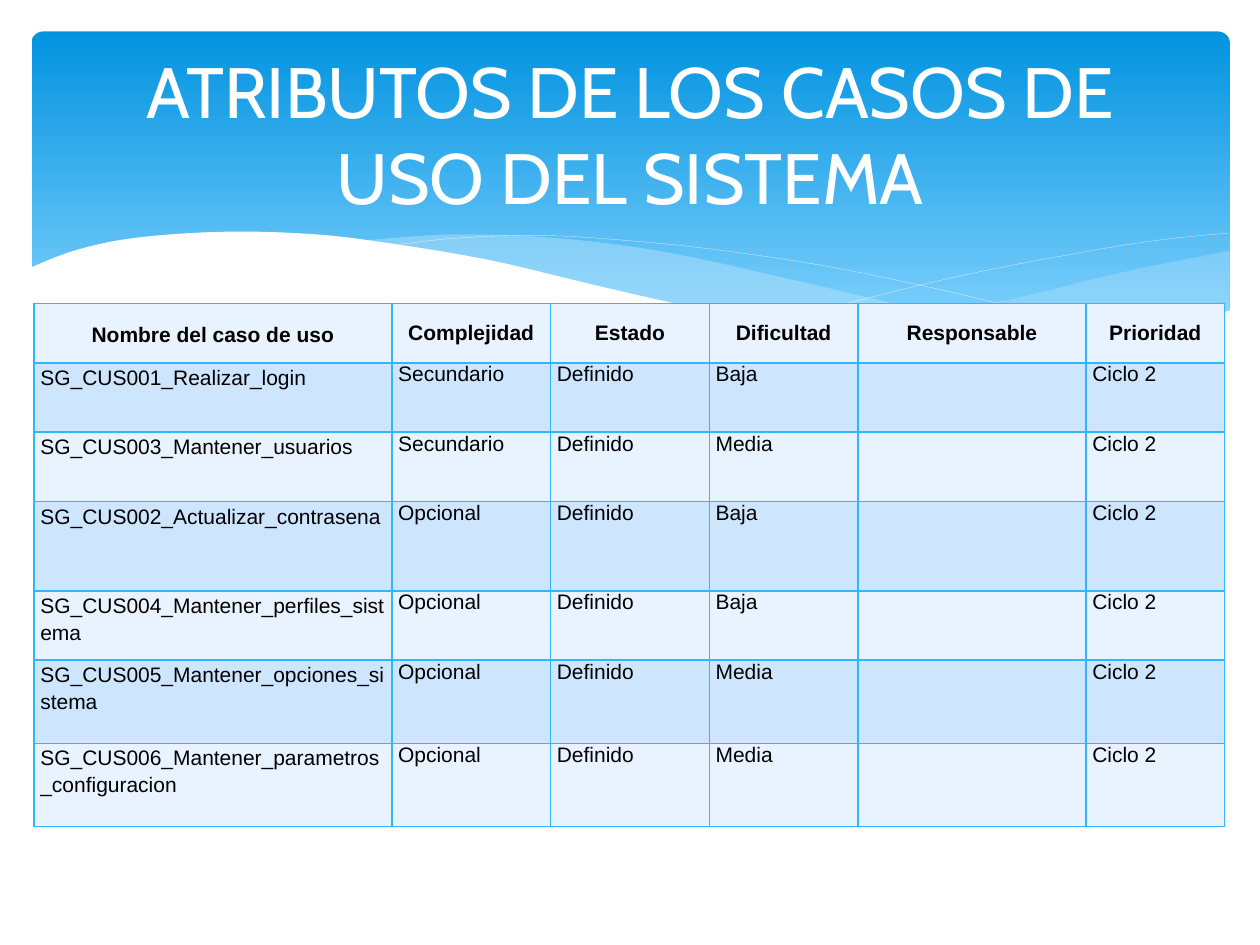
from lxml.etree import SubElement
from pptx import Presentation
from pptx.dml.color import RGBColor
from pptx.enum.shapes import MSO_SHAPE
from pptx.enum.text import MSO_ANCHOR, MSO_AUTO_SIZE, PP_ALIGN
from pptx.oxml.ns import qn
from pptx.util import Inches, Pt

COLORS = {
    "white": "FFFFFF", "black": "000000", "top": "0293E0", "bottom": "83D3FE",
    "wave": "C6E7FC", "border": "31B6FD", "light": "E8F3FF", "dark": "CEE5FE",
}
RIGHT_TOP = [(6.61, 2.65), (7.29, 2.53), (8.05, 2.37), (8.91, 2.16), (9.76, 1.99)]
RIGHT_BOTTOM = [(9.76, 2.47), (9.35, 2.61), (8.81, 2.73), (8.14, 2.78), (7.45, 2.75),
                (6.61, 2.65)]
MIDDLE_TOP = [(2.86, 1.91), (3.61, 1.86), (4.42, 1.89), (5.28, 2), (6.29, 2.22),
              (7.06, 2.4), (7.75, 2.54), (8.37, 2.65), (8.93, 2.73)]
MIDDLE_BOTTOM = [(8.93, 2.73), (8.38, 2.78), (7.73, 2.77), (6.95, 2.7), (6.01, 2.55),
                 (5.3, 2.4), (4.49, 2.22), (3.62, 2.03), (2.86, 1.91)]
WHITE_TOP = [(0.23, 2.13), (0.59, 1.99), (1.06, 1.89), (1.77, 1.84), (2.5, 1.86),
             (3.15, 1.94), (3.91, 2.07), (4.75, 2.27), (5.55, 2.45), (6.47, 2.62),
             (7.26, 2.72), (8.09, 2.77), (8.75, 2.73), (9.3, 2.62), (9.77, 2.46)]
WHITE_BOTTOM = [(9.77, 3.29), (0.23, 3.29)]
FALLING_LINE = [(3.09, 1.95), (3.63, 1.89), (4.33, 1.87), (5.1, 1.92), (5.82, 2),
                (6.65, 2.13), (7.6, 2.33), (8.31, 2.51), (9.07, 2.72)]
RISING_LINE = [(6.13, 2.57), (6.95, 2.35), (7.76, 2.16), (8.66, 1.99), (9.24, 1.9),
               (9.75, 1.85)]

HEADERS = ["Nombre del caso de uso", "Complejidad", "Estado", "Dificultad",
           "Responsable", "Prioridad"]
USE_CASES = [
    ("SG_CUS001_Realizar_login", "Secundario", "Baja"),
    ("SG_CUS003_Mantener_usuarios", "Secundario", "Media"),
    ("SG_CUS002_Actualizar_contrasena", "Opcional", "Baja"),
    ("SG_CUS004_Mantener_perfiles_sistema", "Opcional", "Baja"),
    ("SG_CUS005_Mantener_opciones_sistema", "Opcional", "Media"),
    ("SG_CUS006_Mantener_parametros_configuracion", "Opcional", "Media"),
]
COL_WIDTHS = [2.84, 1.26, 1.26, 1.18, 1.81, 1.1]
ROW_HEIGHTS = [0.47, 0.55, 0.55, 0.71, 0.55, 0.66, 0.66]


def rgb(name):
    return RGBColor.from_string(COLORS[name])


def spline(a, b, c, d, t):
    return b + t * (c - a + t * (2*a - 5*b + 4*c - d + t * (3*b - a - 3*c + d))) / 2


def smooth(knots, steps=8):
    padded = [knots[0], *knots, knots[-1]]
    points = [tuple(spline(*axis, step / steps) for axis in zip(*padded[i:i + 4]))
              for i in range(len(knots) - 1) for step in range(steps)]
    return points + [knots[-1]]


def write(tf, text, size=12, font="Arial", color="black", bold=False,
          align=PP_ALIGN.LEFT, spacing=1.0, after=0):
    p = tf.paragraphs[0]
    p.alignment, p.line_spacing, p.space_after = align, spacing, Pt(after)
    p.font.size = Pt(size)
    if text:
        r = p.add_run()
        r.text = text
        r.font.size, r.font.name, r.font.bold = Pt(size), font, bold
        r.font.color.rgb = rgb(color)


class SlideBuilder:
    """Holds the current slide and draws each kind of element in its style."""

    def __init__(self, prs):
        self.s = prs.slides.add_slide(prs.slide_layouts[5])

    def banner(self, x, y, w, h):
        sp = self.s.shapes.add_shape(MSO_SHAPE.ROUNDED_RECTANGLE,
                                     *map(Inches, (x, y, w, h)))
        sp.adjustments[0] = 0.034
        sp.shadow.inherit = False
        sp.line.fill.background()
        sp.fill.gradient()
        sp.fill.gradient_angle = 270
        for stop, color, position in zip(sp.fill.gradient_stops,
                                         ("top", "bottom"), (0, 0.9)):
            stop.color.rgb, stop.position = rgb(color), position

    def freeform(self, points, closed):
        start, *rest = [(Inches(x), Inches(y)) for x, y in points]
        builder = self.s.shapes.build_freeform(*start)
        builder.add_line_segments(rest, close=closed)
        sp = builder.convert_to_shape()
        sp.shadow.inherit = False
        return sp

    def wave(self, top, bottom, color, opacity=100):
        sp = self.freeform(smooth(top) + smooth(bottom), closed=True)
        sp.line.fill.background()
        sp.fill.solid()
        sp.fill.fore_color.rgb = rgb(color)
        if opacity < 100:
            clr = sp._element.spPr.find(qn("a:solidFill"))[0]
            SubElement(clr, qn("a:alpha"), val=str(opacity * 1000))

    def curve(self, knots):
        sp = self.freeform(smooth(knots), closed=False)
        sp.fill.background()
        sp.line.color.rgb = rgb("white")
        sp.line.width = Pt(0.1)

    def title(self, text, x, y, w, h):
        sp = self.s.shapes.title
        sp.left, sp.top, sp.width, sp.height = map(Inches, (x, y, w, h))
        self.s.shapes._spTree.append(sp._element)
        tf = sp.text_frame
        tf.word_wrap, tf.auto_size = True, MSO_AUTO_SIZE.NONE
        tf.vertical_anchor = MSO_ANCHOR.MIDDLE
        write(tf, text, size=40.7, font="Cabin", color="white", align=PP_ALIGN.CENTER)

    def borders(self, cell):
        tc_pr = cell._tc.get_or_add_tcPr()
        for side in ("lnL", "lnR", "lnT", "lnB"):
            ln = SubElement(tc_pr, qn(f"a:{side}"), w=str(Pt(1)))
            fill = SubElement(ln, qn("a:solidFill"))
            SubElement(fill, qn("a:srgbClr"), val=COLORS["border"])

    def cell(self, cell, text, fill, is_header, is_name):
        cell.margin_left = cell.margin_right = Inches(0.05)
        cell.margin_top = cell.margin_bottom = 0
        cell.vertical_anchor = MSO_ANCHOR.MIDDLE if is_header else MSO_ANCHOR.TOP
        self.borders(cell)
        cell.fill.solid()
        cell.fill.fore_color.rgb = rgb(fill)
        write(cell.text_frame, text, bold=is_header,
              align=PP_ALIGN.CENTER if is_header else PP_ALIGN.LEFT,
              spacing=1.15 if is_name else 1.0,
              after=10 if is_header and is_name else 0)

    def table(self, rows, x, y, widths, heights):
        box = map(Inches, (x, y, sum(widths), sum(heights)))
        tbl = self.s.shapes.add_table(len(rows), len(widths), *box).table
        tbl.first_row = tbl.horz_banding = False
        for col, width in zip(tbl.columns, widths):
            col.width = Inches(width)
        for i, (row, height) in enumerate(zip(rows, heights)):
            tbl.rows[i].height = Inches(height)
            fill = "dark" if i % 2 else "light"
            for j, text in enumerate(row):
                self.cell(tbl.cell(i, j), text, fill, is_header=i == 0, is_name=j == 0)


def main():
    prs = Presentation()
    prs.slide_width, prs.slide_height = Inches(10), Inches(7.5)
    slide = SlideBuilder(prs)
    slide.banner(0.25, 0.25, 9.51, 2.7)
    slide.wave(RIGHT_TOP, RIGHT_BOTTOM, "wave", opacity=29)
    slide.wave(MIDDLE_TOP, MIDDLE_BOTTOM, "wave", opacity=40)
    for knots in (FALLING_LINE, RISING_LINE):
        slide.curve(knots)
    slide.wave(WHITE_TOP, WHITE_BOTTOM, "white")
    slide.title("ATRIBUTOS DE LOS CASOS DE USO DEL SISTEMA", 0.5, 0.37, 9, 1.37)
    rows = [HEADERS] + [(name, complexity, "Definido", difficulty, "", "Ciclo 2")
                        for name, complexity, difficulty in USE_CASES]
    slide.table(rows, 0.27, 2.41, COL_WIDTHS, ROW_HEIGHTS)
    prs.save("out.pptx")


if __name__ == "__main__":
    main()
